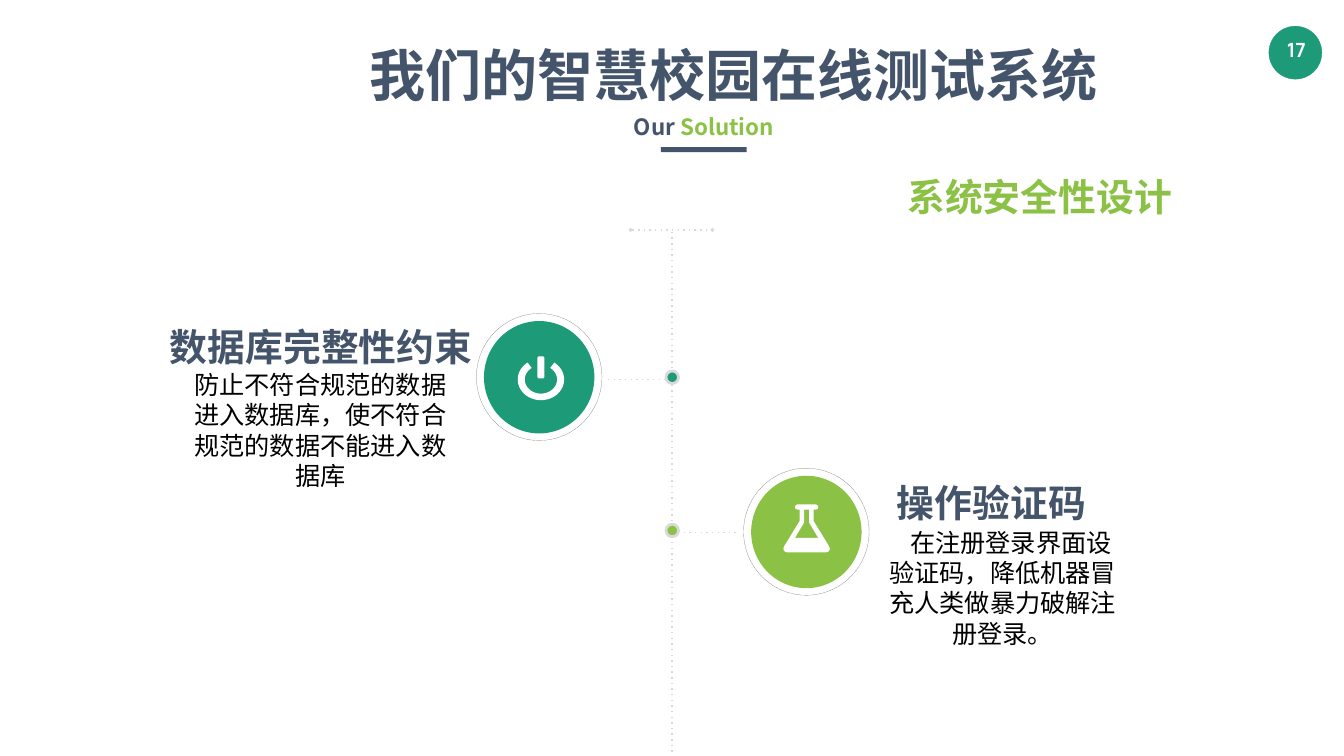
from dataclasses import dataclass
from math import cos, radians, sin

from lxml import etree
from pptx import Presentation
from pptx.dml.color import RGBColor
from pptx.enum import dml, shapes, text
from pptx.oxml import ns
from pptx.util import Inches, Pt


@dataclass(frozen=True)
class Theme:
    navy: RGBColor = RGBColor.from_string("44546A")
    teal: RGBColor = RGBColor.from_string("1D9A78")
    lime: RGBColor = RGBColor.from_string("8BC145")
    dots: RGBColor = RGBColor.from_string("D9D9D9")
    ring: RGBColor = RGBColor.from_string("666666")
    white: RGBColor = RGBColor.from_string("FFFFFF")
    black: RGBColor = RGBColor.from_string("000000")
    cjk: str = "Noto Sans CJK SC"
    latin: str = "Calibri"
    number_font: str = "Manrope"
    title: int = 80
    heading: int = 54
    body: int = 36
    subtitle: int = 32
    number: int = 28


theme = Theme()
prs = Presentation()
prs.slide_width, prs.slide_height = Inches(26.66), Inches(15)
slide = prs.slides.add_slide(prs.slide_layouts[6])


def add_text(box, runs, size, font, bold=True, align=text.PP_ALIGN.CENTER,
             inset=(0.2, 0.1), wrap=True):
    """Place a one-paragraph text box; runs are (wording, colour) pairs."""
    frame = slide.shapes.add_textbox(*map(Inches, box)).text_frame
    frame.word_wrap = wrap
    frame.margin_left = frame.margin_right = Inches(inset[0])
    frame.margin_top = frame.margin_bottom = Inches(inset[1])
    paragraph = frame.paragraphs[0]
    paragraph.alignment = align
    for wording, colour in runs:
        run = paragraph.add_run()
        run.text = wording
        run.font.size, run.font.bold, run.font.name = Pt(size), bold, font
        run.font.color.rgb = colour
        east_asian = etree.SubElement(run.font._element, ns.qn("a:ea"))
        east_asian.set("typeface", theme.cjk)
    return paragraph


def add_figure(kind, box, fill=None, line=None, width=0.5):
    """Place a preset shape, with or without fill and outline."""
    figure = slide.shapes.add_shape(kind, *map(Inches, box))
    figure.shadow.inherit = False
    if fill is None:
        figure.fill.background()
    else:
        figure.fill.solid()
        figure.fill.fore_color.rgb = fill
    if line is None:
        figure.line.fill.background()
    else:
        figure.line.color.rgb, figure.line.width = line, Pt(width)
    return figure


oval = shapes.MSO_SHAPE.OVAL

# Page number
add_figure(oval, (25.17, 0.52, 1.05, 1.05), theme.teal, theme.teal)
add_text((25.23, 0.66, 0.97, 0.67), [("17", theme.white)],
         theme.number, theme.number_font, wrap=False)

# Title block
add_text((7.18, 0.75, 14.75, 1.45), [("我们的智慧校园在线测试系统", theme.navy)],
         theme.title, theme.cjk, inset=(0.1, 0.05))
subtitle = add_text((7.59, 2.01, 12.75, 0.92),
                    [("Our ", theme.navy), ("Solution", theme.lime)],
                    theme.subtitle, theme.cjk, inset=(0.24, 0.12))
subtitle.line_spacing = 1.2
add_figure(shapes.MSO_SHAPE.RECTANGLE, (13.11, 2.92, 1.7, 0.1), theme.navy)
add_text((17.9, 3.39, 7.32, 1.01), [("系统安全性设计", theme.lime)],
         theme.heading, theme.cjk, align=text.PP_ALIGN.LEFT, inset=(0.1, 0.05))

# Dotted timeline: top bar, spine pieces, branches to the two discs
spine = 13.33
timeline = [
    (12.51, 4.56, 14.13, 4.56),
    (spine, 4.6, spine, 7.33),
    (spine, 7.63, spine, 10.36),
    (spine, 10.64, spine, 15),
    (12.06, 7.53, 13.21, 7.53),
    (13.45, 10.56, 14.6, 10.56),
]
for index, ends in enumerate(timeline):
    dotted = slide.shapes.add_connector(shapes.MSO_CONNECTOR.STRAIGHT, *map(Inches, ends))
    dotted.line.color.rgb, dotted.line.width = theme.dots, Pt(2)
    outline = dotted.line._get_or_add_ln()
    etree.SubElement(outline, ns.qn("a:prstDash")).set("val", "dot")
    if index == 0:
        for end in ("a:headEnd", "a:tailEnd"):
            etree.SubElement(outline, ns.qn(end)).set("type", "diamond")
    etree.SubElement(dotted._element.spPr, ns.qn("a:effectLst"))

# Milestones: disc with ring, dot on the spine, heading and explanation
milestones = [
    (theme.teal, 10.7, 7.48, 7.36,
     "数据库完整性约束", (3.14, 6.32, 6.46, 1.11),
     "防止不符合规范的数据进入数据库，使不符合规范的数据不能进入数据库",
     (3.45, 7.23, 5.81, 2.63), 0),
    (theme.lime, 16, 10.55, 10.4,
     "操作验证码", (17.57, 9.41, 4.19, 1.11),
     "在注册登录界面设验证码，降低机器冒充人类做暴力破解注册登录。",
     (17.36, 10.36, 5.06, 2.63), 0.33),
]
for colour, x, y, dot_top, heading, heading_box, body, body_box, indent in milestones:
    add_figure(oval, (x - 1.1, y - 1.11, 2.19, 2.23), colour)
    ring = add_figure(oval, (x - 1.25, y - 1.26, 2.49, 2.52), None, theme.ring, 0.25)
    ring.line.dash_style = dml.MSO_LINE.SQUARE_DOT
    add_figure(oval, (spine - 0.12, dot_top, 0.25, 0.25), colour, theme.dots, 4)
    add_text(heading_box, [(heading, theme.navy)], theme.heading, theme.cjk, wrap=False)
    explanation = add_text(body_box, [(body, theme.black)], theme.body, theme.latin, bold=False)
    if indent:
        properties = explanation._p.get_or_add_pPr()
        properties.set("marL", "0")
        properties.set("indent", str(Inches(indent)))

# Icons: an open ring with a stem, and a flask with a hollow
sweep = range(35, 326, 5)
power_ring = [
    (10.73 + rx * sin(radians(angle)), 7.53 - ry * cos(radians(angle)))
    for rx, ry, angles in ((0.46, 0.41, sweep), (0.32, 0.28, reversed(sweep)))
    for angle in angles
]
power_stem = [(10.68, 7.07), (10.78, 7.07), (10.8, 7.1), (10.8, 7.48),
              (10.78, 7.51), (10.68, 7.51), (10.66, 7.48), (10.66, 7.1)]
flask_half = [(0.19, 10.01), (0.22, 10.03), (0.23, 10.06), (0.22, 10.1), (0.18, 10.11),
              (0.14, 10.11), (0.14, 10.34), (0.44, 10.83), (0.46, 10.88),
              (0.45, 10.93), (0.42, 10.95), (0.38, 10.96)]
hollow_half = [(0.05, 10.11), (0.05, 10.37), (0.23, 10.67)]
flask, hollow = (
    [(16 + dx, y) for dx, y in half] + [(16 - dx, y) for dx, y in reversed(half)]
    for half in (flask_half, hollow_half)
)
for contours in ((power_ring, power_stem), (flask, hollow)):
    outer, inner = ([(Inches(x), Inches(y)) for x, y in contour] for contour in contours)
    builder = slide.shapes.build_freeform(*outer[0], scale=1.0)
    builder.add_line_segments(outer[1:], close=True)
    builder.move_to(*inner[0])
    builder.add_line_segments(inner[1:], close=True)
    icon = builder.convert_to_shape()
    icon.shadow.inherit = False
    icon.fill.solid()
    icon.fill.fore_color.rgb = theme.white
    icon.line.fill.background()

prs.save("out.pptx")
